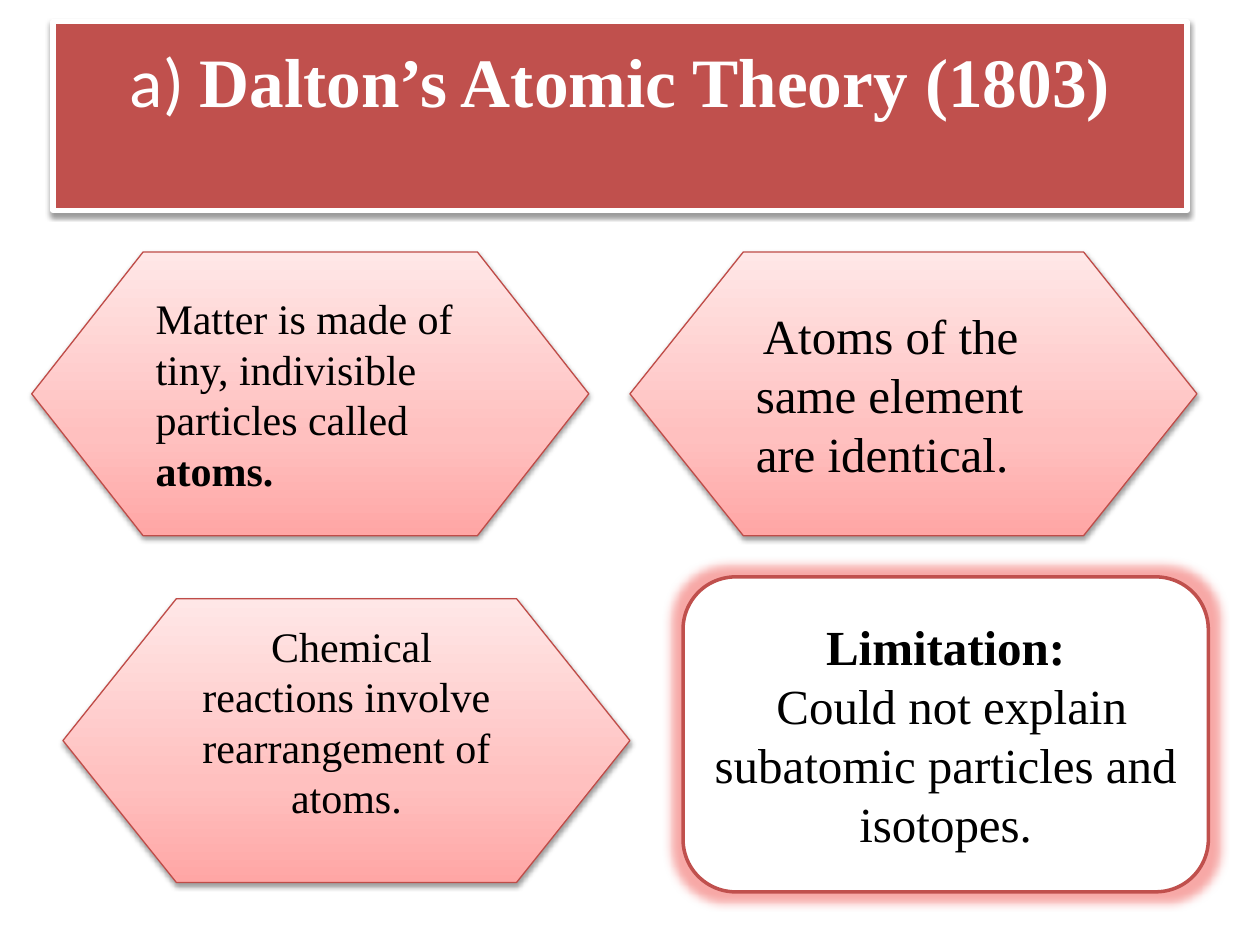
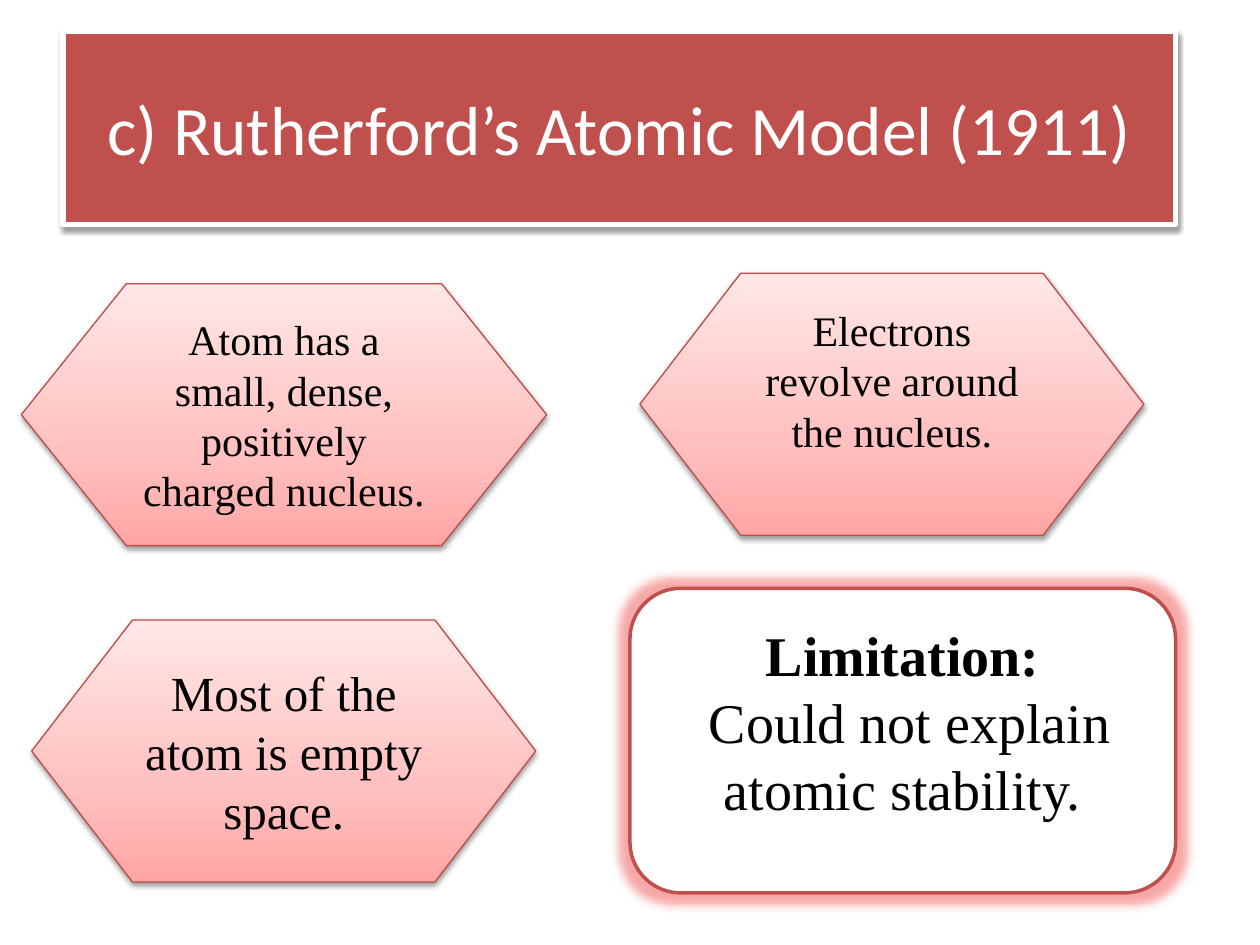
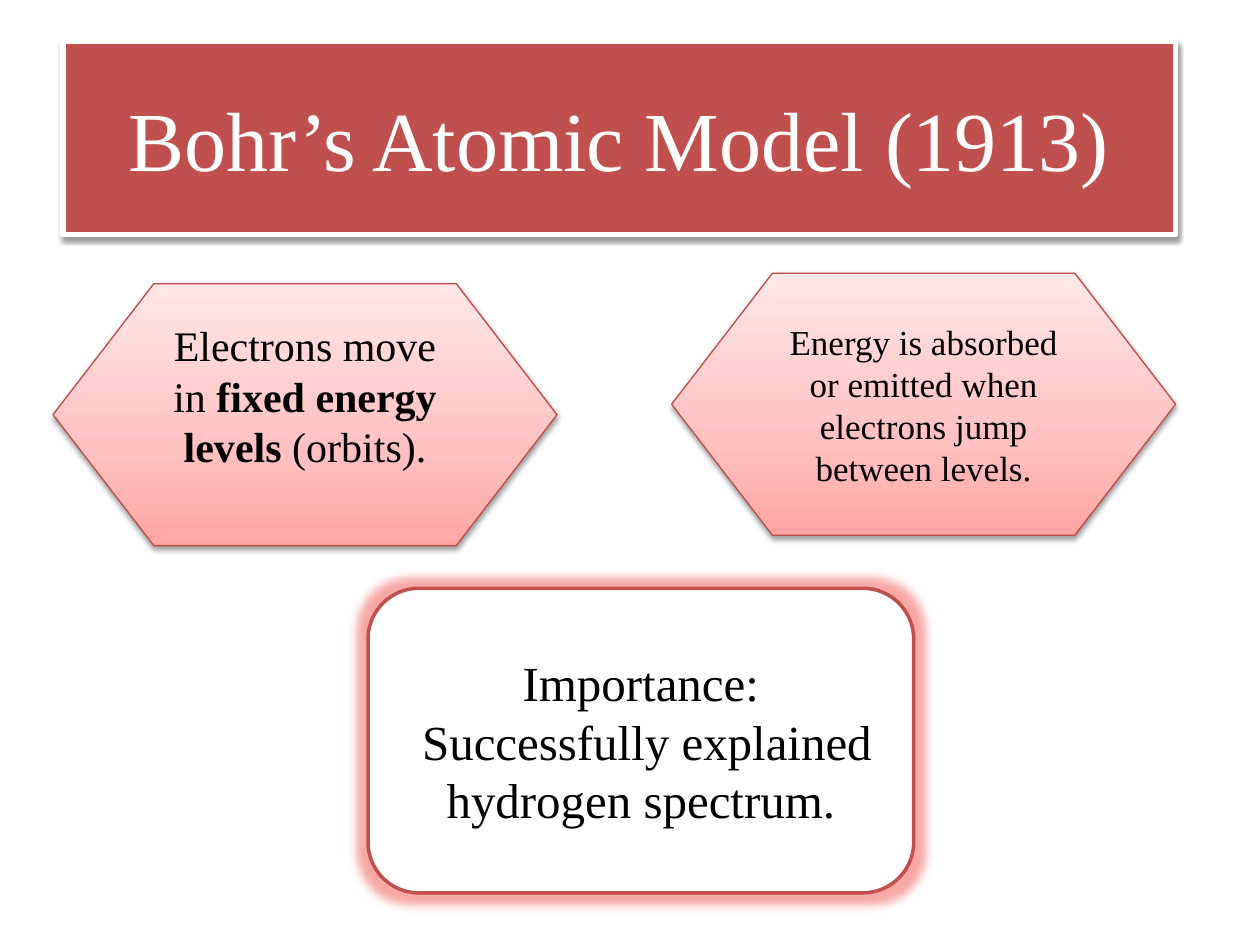
"""Build three slides on the atomic models of Dalton, Rutherford and Bohr."""
from lxml import etree
from pptx import Presentation
from pptx.dml.color import RGBColor
from pptx.enum.shapes import MSO_SHAPE
from pptx.enum.text import MSO_ANCHOR, MSO_AUTO_SIZE, PP_ALIGN
from pptx.util import Cm, Pt

HEXAGON = MSO_SHAPE.FLOWCHART_PREPARATION
ROUNDED = MSO_SHAPE.ROUNDED_RECTANGLE
LEFT = PP_ALIGN.LEFT
CENTER = PP_ALIGN.CENTER
MIDDLE = MSO_ANCHOR.MIDDLE
NO_FIT = MSO_AUTO_SIZE.NONE

SERIF = "Times New Roman"
SANS = "Calibri"
COLORS = {
    "accent": "C0504D",
    "edge": "BF4C48",
    "white": "FFFFFF",
    "black": "000000",
    "grad_low": "FFA6A5",
    "grad_mid": "FFC0BF",
    "grad_top": "FFE7E7",
}
NAMESPACE = 'xmlns:a="http://schemas.openxmlformats.org/drawingml/2006/main"'
GRADIENT = f"""<a:gradFill {NAMESPACE} rotWithShape="1"><a:gsLst>
<a:gs pos="0"><a:srgbClr val="{COLORS['grad_low']}"/></a:gs>
<a:gs pos="35000"><a:srgbClr val="{COLORS['grad_mid']}"/></a:gs>
<a:gs pos="100000"><a:srgbClr val="{COLORS['grad_top']}"/></a:gs>
</a:gsLst><a:lin ang="16200000" scaled="1"/></a:gradFill>"""
SHADOW = f"""<a:effectLst {NAMESPACE}>
<a:outerShdw blurRad="40000" dist="20000" dir="5400000" rotWithShape="0">
<a:srgbClr val="{COLORS['black']}"><a:alpha val="38000"/></a:srgbClr>
</a:outerShdw></a:effectLst>"""
GLOW = f"""<a:effectLst {NAMESPACE}><a:glow rad="139700">
<a:srgbClr val="{COLORS['accent']}"><a:satMod val="175000"/><a:alpha val="40000"/></a:srgbClr>
</a:glow></a:effectLst>"""

SLIDES = [
    {
        "title_place": (1.07, 0.43, 22.86, 3.81),
        "title_space_below": 1.6,
        "title": [("a) ", 39.6, SANS, False), ("Dalton’s Atomic Theory (1803)", 39.6, SERIF, True)],
        "boxes": [
            (HEXAGON, (0.64, 5.08, 11.23, 5.72), LEFT, 0.13,
             [[("Matter is made of tiny, indivisible particles called ", 24, SERIF, False),
               ("atoms.", 24, SERIF, True)]]),
            (HEXAGON, (1.27, 12.07, 11.43, 5.72), CENTER, 0.9,
             [[(" Chemical reactions involve rearrangement of atoms.", 24, SERIF, False)]]),
            (HEXAGON, (12.7, 5.08, 11.43, 5.72), LEFT, 0.13,
             [[(" ", 18, SANS, False),
               ("Atoms of the same element are identical.", 28, SERIF, False)]]),
            (ROUNDED, (13.77, 11.63, 10.59, 6.35), CENTER, 0.13,
             [[("Limitation:", 28, SERIF, True)],
              [(" Could not explain subatomic particles and isotopes.", 28, SERIF, False)]]),
        ],
    },
    {
        "title_place": (1.27, 0.64, 22.43, 3.89),
        "title_space_below": 0.13,
        "title": [("c) Rutherford’s Atomic Model (1911)", 39.6, SANS, False)],
        "boxes": [
            (HEXAGON, (0.64, 12.5, 10.16, 5.28), CENTER, 0.13,
             [[("Most of the atom is empty space.", 28, SERIF, False)]]),
            (HEXAGON, (12.9, 5.51, 10.16, 5.28), CENTER, 1.1,
             [[("Electrons revolve around the nucleus.", 24, SERIF, False)]]),
            (HEXAGON, (0.43, 5.72, 10.59, 5.28), CENTER, 0.13,
             [[("Atom has a small, dense, positively charged nucleus.", 24, SERIF, False)]]),
            (ROUNDED, (12.7, 11.86, 11, 6.14), CENTER, 0.9,
             [[("Limitation:", 32, SERIF, True)],
              [(" Could not explain atomic stability.", 32, SERIF, False)]]),
        ],
    },
    {
        "title_place": (1.27, 0.84, 22.43, 3.89),
        "title_space_below": 0.13,
        "title": [("Bohr’s Atomic Model (1913)", 48, SERIF, False)],
        "boxes": [
            (HEXAGON, (13.54, 5.51, 10.16, 5.28), CENTER, 0.13,
             [[("Energy is absorbed or emitted when electrons jump between levels.",
                20, SERIF, False)]]),
            (HEXAGON, (1.07, 5.72, 10.16, 5.28), CENTER, 0.9,
             [[("Electrons move in ", 24, SERIF, False),
               ("fixed energy levels ", 24, SERIF, True),
               ("(orbits).", 24, SERIF, False)]]),
            (ROUNDED, (7.42, 11.86, 11, 6.14), CENTER, 0.13,
             [[("Importance:", 28, SERIF, False)],
              [(" Successfully explained hydrogen spectrum.", 28, SERIF, False)]]),
        ],
    },
]


def write_text(shape, paragraphs, color, alignment, space_below):
    """Fill a shape with paragraphs of (text, size, font, bold) runs."""
    frame = shape.text_frame
    frame.word_wrap = True
    frame.auto_size = NO_FIT
    frame.vertical_anchor = MIDDLE
    frame.margin_bottom = Cm(space_below)
    for index, runs in enumerate(paragraphs):
        para = frame.add_paragraph() if index else frame.paragraphs[0]
        para.alignment = alignment
        for text, size, font, bold in runs:
            span = para.add_run()
            span.text = text
            span.font.size = Pt(size)
            span.font.name = font
            span.font.bold = bold
            span.font.color.rgb = RGBColor.from_string(COLORS[color])


def outline(shape, color, width, effect):
    """Set the line of a shape and the effect around it."""
    shape.line.color.rgb = RGBColor.from_string(COLORS[color])
    shape.line.width = Pt(width)
    shape._element.spPr.append(etree.fromstring(effect))


deck = Presentation()
deck.slide_width = Cm(25.4)
deck.slide_height = Cm(19.05)
title_only = deck.slide_layouts[5]

for content in SLIDES:
    page = deck.slides.add_slide(title_only)

    title = page.shapes.title
    title.left, title.top, title.width, title.height = map(Cm, content["title_place"])
    title.fill.solid()
    title.fill.fore_color.rgb = RGBColor.from_string(COLORS["accent"])
    outline(title, "white", 3, SHADOW)
    write_text(title, [content["title"]], "white", CENTER, content["title_space_below"])

    for preset, place, alignment, space_below, paragraphs in content["boxes"]:
        box = page.shapes.add_shape(preset, *map(Cm, place))
        if preset == HEXAGON:
            box._element.spPr.insert(2, etree.fromstring(GRADIENT))
            outline(box, "edge", 0.75, SHADOW)
        else:
            box.fill.solid()
            box.fill.fore_color.rgb = RGBColor.from_string(COLORS["white"])
            outline(box, "accent", 2, GLOW)
        write_text(box, paragraphs, "black", alignment, space_below)

deck.save("out.pptx")
